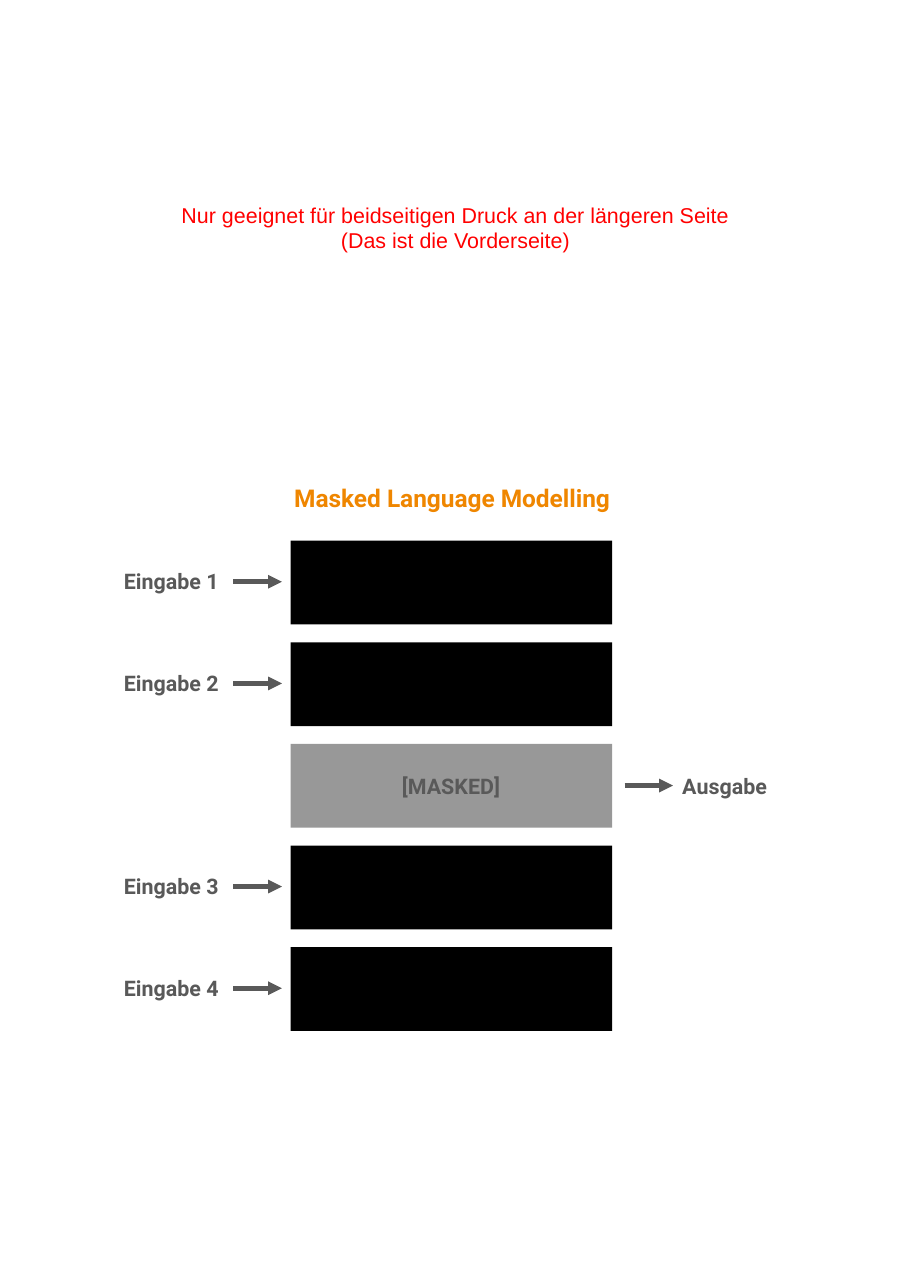
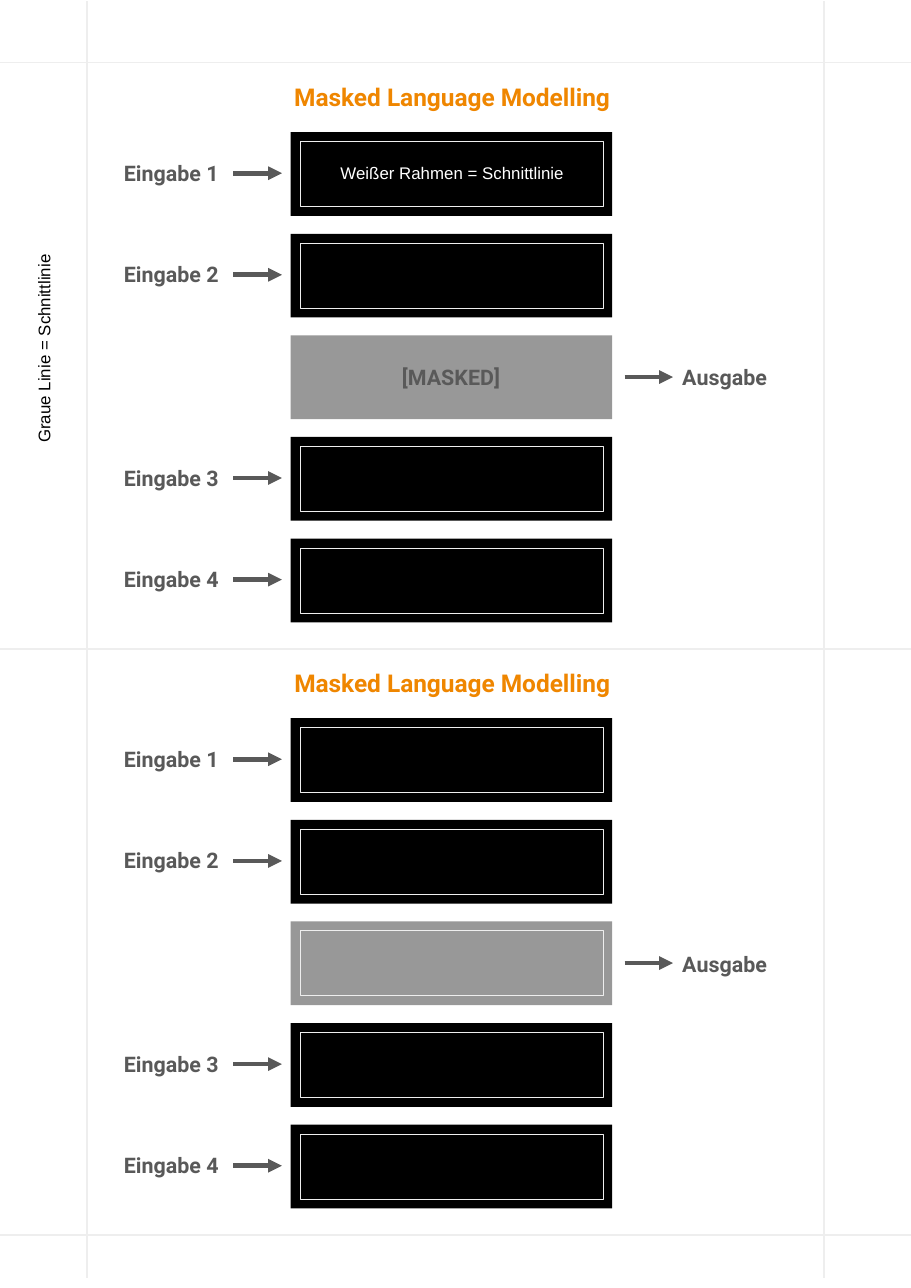
from lxml import etree
from pptx import Presentation
from pptx.dml.color import RGBColor
from pptx.enum.shapes import MSO_CONNECTOR, MSO_SHAPE
from pptx.enum.text import MSO_ANCHOR, MSO_AUTO_SIZE, PP_ALIGN
from pptx.oxml.ns import qn
from pptx.util import Pt

LEFT, MID, RIGHT = PP_ALIGN.LEFT, PP_ALIGN.CENTER, PP_ALIGN.RIGHT
RECT, LINE = MSO_SHAPE.RECTANGLE, MSO_CONNECTOR.STRAIGHT
TOP, GROW = MSO_ANCHOR.TOP, MSO_AUTO_SIZE.SHAPE_TO_FIT_TEXT

COLORS = {"bar": "000000", "mask": "989898", "label": "595959",
          "title": "EF8600", "cut": "EEEEEE", "note": "FF0000",
          "dark": "000000", "light": "FFFFFF"}
PAGE_W, PAGE_H = 595.44, 841.68
BAR_X, BAR_W, BAR_H, PITCH = 190, 210.2, 54.7, 66.4
INSET = 6.1      # gap between a bar and its frame
CARD_H = 383     # distance between two cards
LABEL_W, LABEL_H = 82.8, 28.8
ROWS = ["Eingabe 1", "Eingabe 2", None, "Eingabe 3", "Eingabe 4"]
HEAD = "Masked Language Modelling"


def rgb(name):
    return RGBColor.from_string(COLORS[name])


class Deck:
    def __init__(self):
        self.file = Presentation()
        self.file.slide_width, self.file.slide_height = Pt(PAGE_W), Pt(PAGE_H)
        self.slide = None

    def page(self):
        self.slide = self.file.slides.add_slide(self.file.slide_layouts[5])

    def style(self, box, text, size, color, align, face, bold, wrap, pad):
        frame = box.text_frame
        frame.text = text
        frame.word_wrap, frame.auto_size = wrap, GROW
        frame.vertical_anchor = TOP
        frame.margin_left = frame.margin_right = Pt(pad[0])
        frame.margin_top = frame.margin_bottom = Pt(pad[1])
        for par in frame.paragraphs:
            par.alignment = align
            par.font.name, par.font.size = face, Pt(size)
            par.font.bold = bold
            par.font.color.rgb = rgb(color)

    def label(self, text, x, y, align):
        box = self.slide.shapes.add_textbox(
            Pt(x), Pt(y), Pt(LABEL_W), Pt(LABEL_H))
        self.style(box, text, 14, "label", align, "Roboto", True, True, (6, 6))

    def note(self, text, x, y, w, h, size, color, turn=0):
        box = self.slide.shapes.add_textbox(Pt(x), Pt(y), Pt(w), Pt(h))
        box.rotation = turn
        self.style(box, text, size, color, MID, "Arial", False, False,
                   (7.2, 3.6))

    def title(self, y):
        """Fill the title placeholder, or add a box once it is taken."""
        box = self.slide.shapes.title
        if box.text_frame.text:
            box = self.slide.shapes.add_textbox(0, 0, 0, 0)
        box.left, box.top = Pt(164.2), Pt(y)
        box.width, box.height = Pt(262.8), Pt(31.7)
        self.style(box, HEAD, 16, "title", MID, "Roboto", True, True, (6, 6))

    def rect(self, x, y, w, h, fill=None, line=None):
        box = self.slide.shapes.add_shape(RECT, Pt(x), Pt(y), Pt(w), Pt(h))
        box.shadow.inherit = False
        if fill:
            box.fill.solid()
            box.fill.fore_color.rgb = rgb(fill)
        else:
            box.fill.background()
        if line:
            box.line.color.rgb, box.line.width = rgb(line), Pt(0.5)
        else:
            box.line.fill.background()

    def line(self, x1, y1, x2, y2, color="cut", width=1, head=False):
        rule = self.slide.shapes.add_connector(
            LINE, Pt(x1), Pt(y1), Pt(x2), Pt(y2))
        rule.line.color.rgb, rule.line.width = rgb(color), Pt(width)
        props = rule._element.spPr
        if head:
            etree.SubElement(props.find(qn("a:ln")), qn("a:tailEnd"),
                             type="triangle")
        etree.SubElement(props, qn("a:effectLst"))

    def arrow(self, x, y):
        self.line(x, y, x + 31.7, y, "label", 3, True)

    def card(self, top, gap, framed=()):
        """Draw a card whose first bar is at top; framed lists row numbers."""
        self.title(top - gap)
        for row, text in enumerate(ROWS):
            y = top + row * PITCH
            self.rect(BAR_X, y, BAR_W, BAR_H, "bar" if text else "mask")
            if row in framed:
                self.rect(BAR_X + INSET, y + INSET, BAR_W - 2 * INSET,
                          BAR_H - 2 * INSET, line="cut")
            if text:
                self.label(text, 66.2, y + 12, RIGHT)
                self.arrow(152.6, y + 26.8)
            else:
                self.label("Ausgabe", 439.9, y + 13, LEFT)
                self.arrow(408.2, y + 27.2)
                if row not in framed:
                    self.label("[MASKED]", 253.4, y + 13, MID)

    def cuts(self, y):
        """Draw the cutting lines of the card that starts at y."""
        self.line(PAGE_W, y, 0, y)
        for x in (538.6, 56.9):
            self.line(x, y - 40.3, x, y + 411.2)


def main():
    deck = Deck()

    deck.page()
    deck.card(353.4, 43.9)
    deck.note("Nur geeignet für beidseitigen Druck an der längeren Seite\n"
              "(Das ist die Vorderseite)", 110.9, 128.2, 373.7, 41, 14, "note")

    deck.page()
    for num, framed in enumerate([(0, 1, 3, 4), range(5)]):
        shift = num * CARD_H
        deck.card(86.4 + shift, 38.9, framed)
        deck.cuts(41 + shift)
    deck.line(PAGE_W, 41 + 2 * CARD_H, 0, 41 + 2 * CARD_H)
    deck.note("Graue Linie = Schnittlinie", -40.3, 217.4, 138.2, 20.9,
              11, "dark", 270)
    deck.note("Weißer Rahmen = Schnittlinie", 214.6, 103, 162, 20.9,
              11, "light")

    deck.file.save("out.pptx")


if __name__ == "__main__":
    main()
